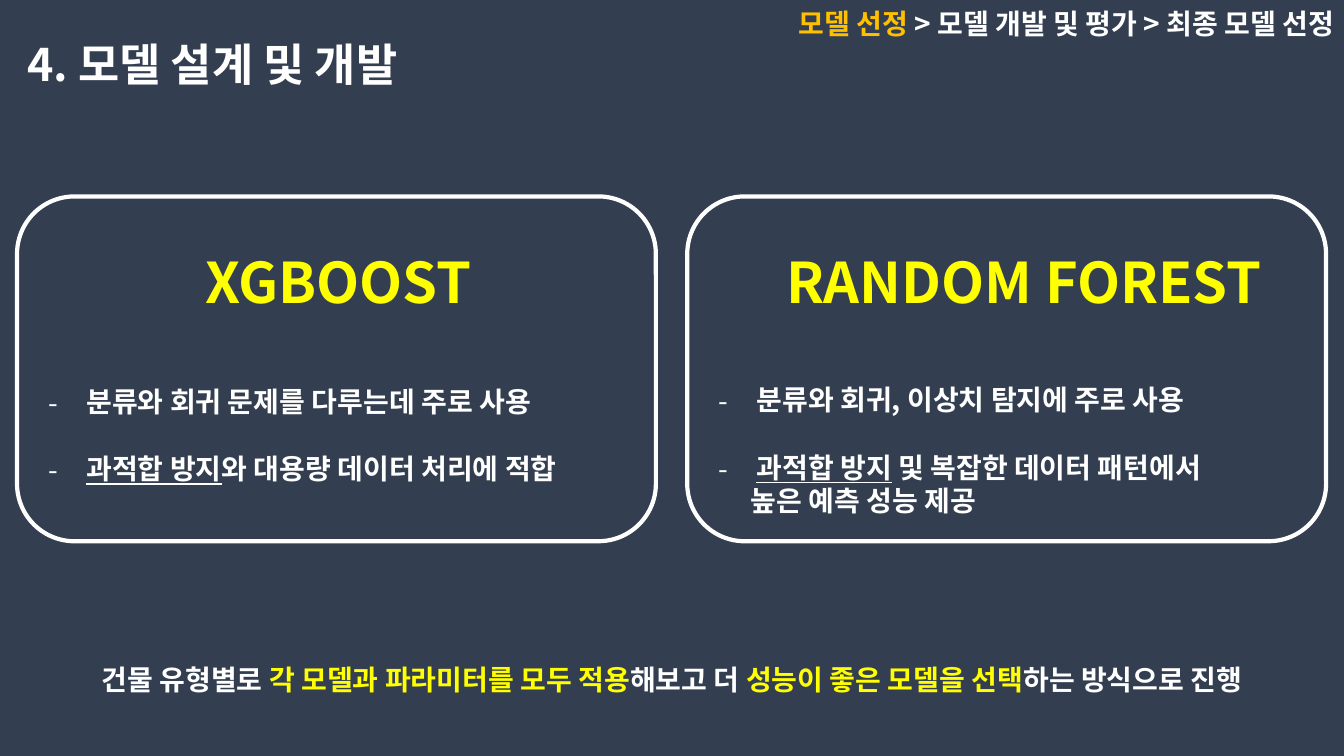
import pptx
import pptx.dml.color
import pptx.enum.shapes
import pptx.enum.text
import pptx.oxml
import pptx.oxml.ns
import pptx.util
from pptx.util import Cm

FONT = "Noto Sans CJK KR"
WHITE, YELLOW, ORANGE, NAVY = "FFFFFF", "FFFF00", "FFC000", "333F50"
ALIGN = pptx.enum.text.PP_ALIGN
ANCHOR = pptx.enum.text.MSO_ANCHOR


def color(value):
    return pptx.dml.color.RGBColor.from_string(value)


def set_all(target, values):
    for name, value in values.items():
        setattr(target, name, value)


def place(box, left, top, width, height):
    set_all(box, {"left": Cm(left), "top": Cm(top), "width": Cm(width), "height": Cm(height)})


def add_child(parent, tag, **attributes):
    child = pptx.oxml.ns.qn(tag)
    element = parent.makeelement(child, attributes)
    parent.append(element)


def add_span(para, text, size, fill=WHITE, underline=False):
    span = para.add_run()
    span.text = text
    set_all(span.font, {"name": FONT, "size": pptx.util.Pt(size), "bold": True,
                        "underline": underline})
    span.font.color.rgb = color(fill)
    add_child(span.font._element, "a:ea", typeface=FONT)


def format_para(para, align=ALIGN.LEFT, before=0):
    set_all(para, {"alignment": align, "line_spacing": 1.0,
                   "space_before": pptx.util.Pt(before), "space_after": pptx.util.Pt(0)})


def format_frame(box, anchor):
    set_all(box.text_frame, {"word_wrap": True, "vertical_anchor": anchor,
                             "auto_size": pptx.enum.text.MSO_AUTO_SIZE.NONE})


def write_line(box, spans, size, align, anchor=ANCHOR.TOP):
    """Fill a box with one paragraph of (text, colour) spans."""
    format_frame(box, anchor)
    para = box.text_frame.paragraphs[0]
    format_para(para, align)
    for text, fill in spans:
        add_span(para, text, size, fill)


def add_line(page, position, *args):
    box = page.shapes.add_textbox(0, 0, 0, 0)
    place(box, *position)
    write_line(box, *args)


def write_list(box, items):
    """Each item is (has a dash, space before, [(text, underlined), ...])."""
    format_frame(box, ANCHOR.MIDDLE)
    for index, (dash, before, spans) in enumerate(items):
        frame = box.text_frame
        para = frame.add_paragraph() if index else frame.paragraphs[0]
        format_para(para, before=before)
        properties = para._p.get_or_add_pPr()
        properties.set("marL", str(Cm(0.95 if dash else 0.81)))
        properties.set("indent", str(Cm(-0.95 if dash else 0)))
        if dash:
            add_child(properties, "a:buFont", typeface=FONT)
            add_child(properties, "a:buChar", char="-")
        else:
            add_child(properties, "a:buNone")
        for text, underline in spans:
            add_span(para, text, 20, underline=underline)


def add_card(page, left):
    card = page.shapes.add_shape(pptx.enum.shapes.MSO_SHAPE.ROUNDED_RECTANGLE, 0, 0, 0, 0)
    place(card, left, 4.95, 16.1, 8.69)
    card.shadow.inherit = False
    card.fill.background()
    card.line.color.rgb = color(WHITE)
    card.line.width = pptx.util.Pt(3)


def main():
    deck = pptx.Presentation()
    set_all(deck, {"slide_width": Cm(33.87), "slide_height": Cm(19.05)})
    page = deck.slides.add_slide(deck.slide_layouts.get_by_name("Two Content"))
    page.background.fill.solid()
    page.background.fill.fore_color.rgb = color(NAVY)
    title, xgboost_list, forest_list = page.placeholders

    place(title, 0.43, 0.81, 11.13, 1.63)
    write_line(title, [("4. 모델 설계 및 개발", WHITE)], 32, ALIGN.LEFT)
    add_line(page, (16.93, 0.03, 16.94, 1.12),
             [("모델 선정 ", ORANGE), ("> 모델 개발 및 평가 > 최종 모델 선정", WHITE)],
             20, ALIGN.RIGHT)

    add_line(page, (4.7, 6.12, 7.65, 1.96), [("XGBOOST", YELLOW)], 40, ALIGN.CENTER)
    add_line(page, (19.41, 6.12, 12.78, 1.96), [("RANDOM FOREST", YELLOW)], 40, ALIGN.CENTER)

    place(xgboost_list, 0.97, 9.55, 15.06, 2.82)
    write_list(xgboost_list, [
        (True, 0, [("분류와 회귀 문제를 다루는데 주로 사용", False)]),
        (True, 24, [("과적합 방지", True), ("와 대용량 데이터 처리에 적합", False)]),
    ])
    place(forest_list, 17.86, 9.5, 15.06, 3.68)
    write_list(forest_list, [
        (True, 0, [("분류와 회귀, 이상치 탐지에 주로 사용", False)]),
        (True, 24, [("과적합 방지", True), (" 및 복잡한 데이터 패턴에서", False)]),
        (False, 0, [("높은 예측 성능 제공", False)]),
    ])

    add_line(page, (0, 16.56, 33.87, 1.12),
             [("건물 유형별로 ", WHITE), ("각 모델과 파라미터를 모두 적용", YELLOW),
              ("해보고 더 ", WHITE), ("성능이 좋은 모델을 선택", YELLOW),
              ("하는 방식으로 진행", WHITE)],
             20, ALIGN.CENTER, ANCHOR.MIDDLE)
    for left in (0.43, 17.32):
        add_card(page, left)
    deck.save("out.pptx")


if __name__ == "__main__":
    main()
